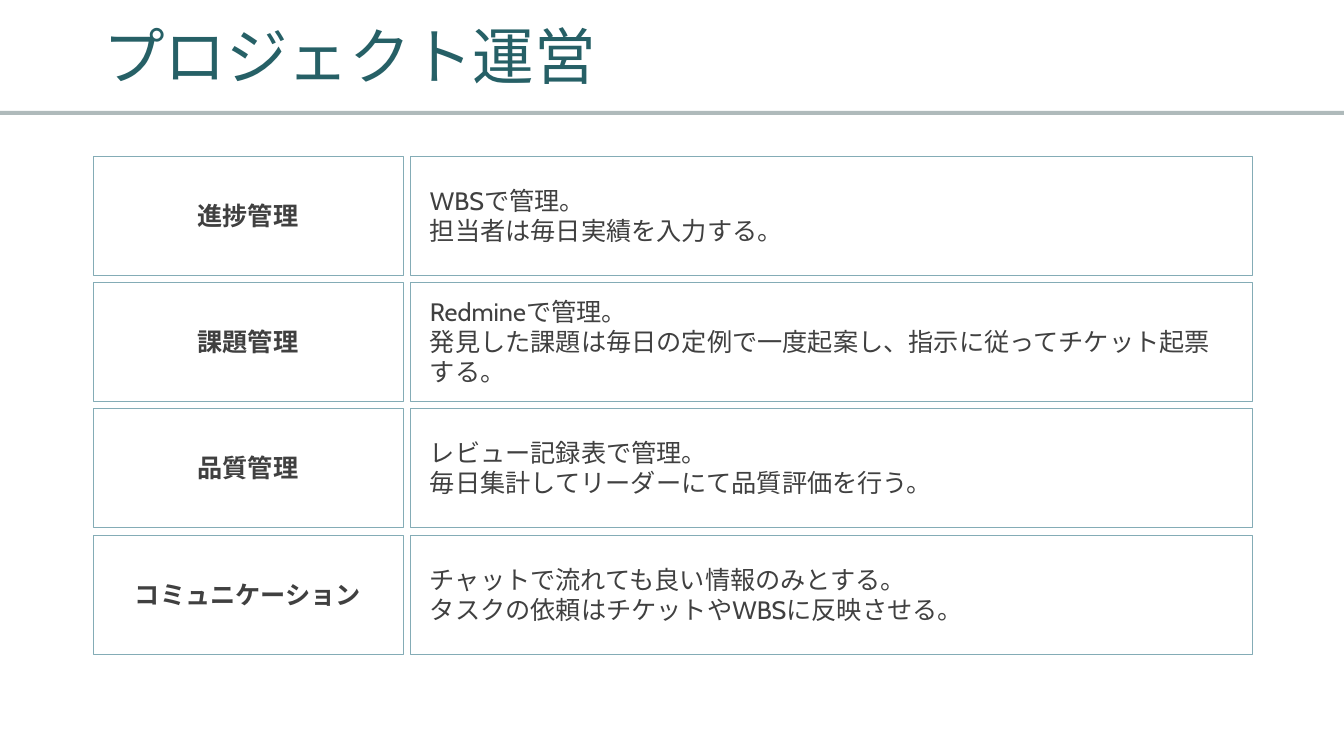
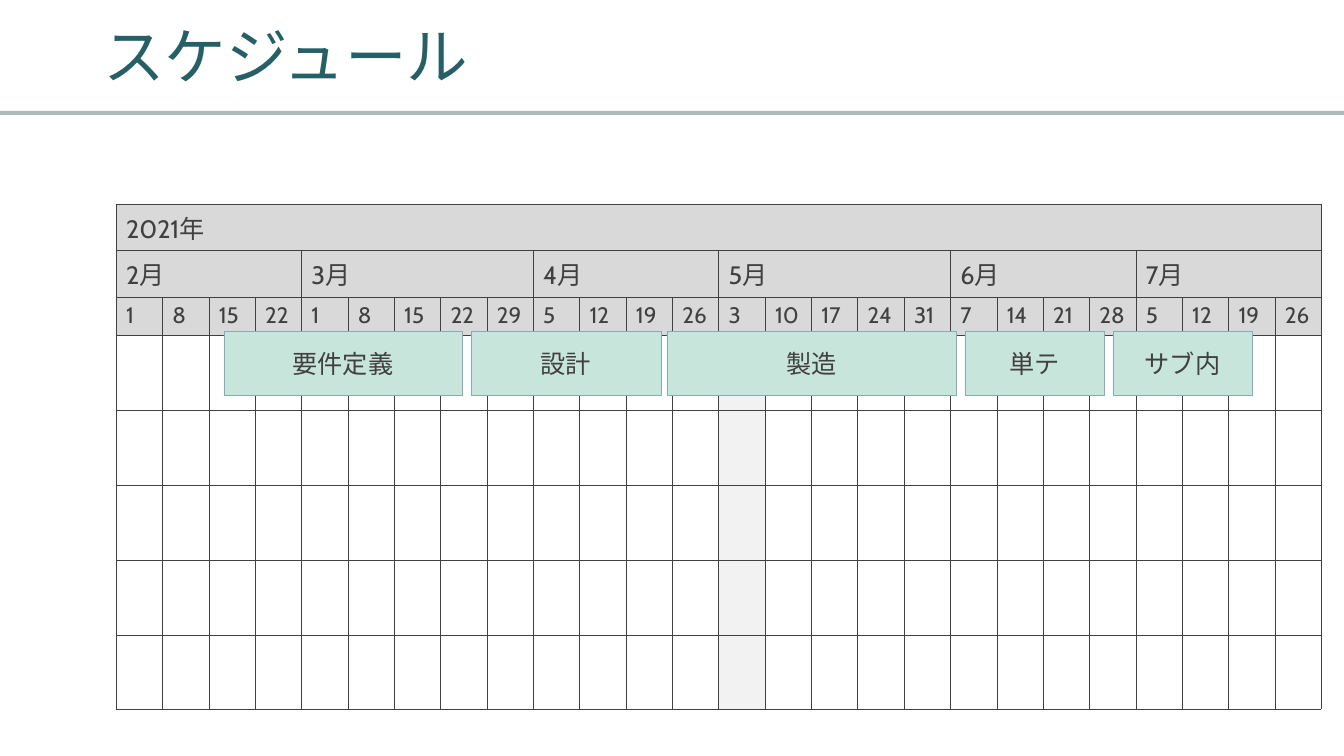
from lxml.etree import SubElement
from pptx import Presentation
from pptx.dml.color import RGBColor
from pptx.enum.lang import MSO_LANGUAGE_ID
from pptx.enum.shapes import MSO_SHAPE
from pptx.enum.text import MSO_ANCHOR, MSO_AUTO_SIZE, PP_ALIGN
from pptx.oxml import parse_xml
from pptx.oxml.ns import nsdecls, qn
from pptx.util import Pt

SLIDE_W, SLIDE_H = 1344, 756
EMU_PER_PX = 12192000 / SLIDE_W
FONT = "Cabin"
HAIRLINE = Pt(0.25)
COLORS = {
    "title": "266066",
    "band": "AFBABB",
    "text": "404040",
    "outline": "84ACB6",
    "white": "FFFFFF",
    "phase": "C8E5DC",
    "header": "D9D9D9",
    "holiday": "F2F2F2",
}

RULES = [
    ("進捗管理", "WBSで管理。\n担当者は毎日実績を入力する。"),
    ("課題管理", "Redmineで管理。\n発見した課題は毎日の定例で一度起案し、"
                 "指示に従ってチケット起票する。"),
    ("品質管理", "レビュー記録表で管理。\n毎日集計してリーダーにて品質評価を行う。"),
    ("コミュニケーション", "チャットで流れても良い情報のみとする。\n"
                           "タスクの依頼はチケットやWBSに反映させる。"),
]
MONTHS = [
    ("2月", [1, 8, 15, 22]),
    ("3月", [1, 8, 15, 22, 29]),
    ("4月", [5, 12, 19, 26]),
    ("5月", [3, 10, 17, 24, 31]),
    ("6月", [7, 14, 21, 28]),
    ("7月", [5, 12, 19, 26]),
]
WEEKS = [day for _, days in MONTHS for day in days]
HOLIDAY_WEEK = 13
ROW_HEIGHTS = [46, 46, 38, 75, 75, 75, 75, 74]
HEADER_ROWS = 3
# Phase name, left edge, width
PHASES = [
    ("要件定義", 224, 238),
    ("設計", 471, 190),
    ("製造", 667, 289),
    ("単テ", 965, 139),
    ("サブ内", 1113, 139),
]


def px(length):
    return round(length * EMU_PER_PX)


def color(name):
    return RGBColor.from_string(COLORS[name])


def format_text(frame, size, color_name="text", bold=False, align=PP_ALIGN.LEFT,
                east_asian=True):
    for paragraph in frame.paragraphs:
        paragraph.alignment = align
        for run in paragraph.runs:
            font = run.font
            font.size = Pt(size)
            font.bold = bold
            font.name = FONT
            font.language_id = MSO_LANGUAGE_ID.JAPANESE
            font.color.rgb = color(color_name)
            if east_asian:
                latin = run._r.rPr.find(qn("a:latin"))
                latin.addnext(parse_xml(f'<a:ea {nsdecls("a")} typeface="{FONT}"/>'))


def add_rect(slide, left, top, width, height, fill):
    rect = slide.shapes.add_shape(
        MSO_SHAPE.RECTANGLE, px(left), px(top), px(width), px(height))
    rect.shadow.inherit = False
    rect.fill.solid()
    rect.fill.fore_color.rgb = color(fill)
    rect.line.fill.background()
    return rect


def add_box(slide, text, left, top, width, height, fill="white", inset=24,
            bold=False, align=PP_ALIGN.CENTER):
    box = add_rect(slide, left, top, width, height, fill)
    box.line.color.rgb = color("outline")
    box.line.width = HAIRLINE
    frame = box.text_frame
    frame.word_wrap = True
    frame.vertical_anchor = MSO_ANCHOR.MIDDLE
    frame.margin_left = frame.margin_right = px(inset)
    frame.margin_top = frame.margin_bottom = px(8)
    frame.text = text
    format_text(frame, 18, bold=bold, align=align)


def add_titled_slide(prs, text):
    slide = prs.slides.add_slide(prs.slide_layouts[5])
    add_rect(slide, 0, 111, SLIDE_W, 4, "band")
    title = slide.shapes.title
    title.left, title.top, title.width, title.height = (
        px(93), px(12), px(1159), px(95))
    frame = title.text_frame
    frame.auto_size = MSO_AUTO_SIZE.NONE
    frame.vertical_anchor = MSO_ANCHOR.MIDDLE
    frame.text = text
    frame.paragraphs[0].line_spacing = 0.9
    format_text(frame, 44, "title")
    return slide


def style_cell(cell, fill):
    # Borders come before the fill in the cell properties
    properties = cell._tc.get_or_add_tcPr()
    for side in ("lnL", "lnR", "lnT", "lnB"):
        border = SubElement(properties, qn(f"a:{side}"), w=str(HAIRLINE))
        paint = SubElement(border, qn("a:solidFill"))
        SubElement(paint, qn("a:srgbClr"), val=COLORS["text"])
    cell.fill.solid()
    cell.fill.fore_color.rgb = color(fill)


def set_cell_text(cell, text, size):
    cell.text_frame.text = text
    format_text(cell.text_frame, size, east_asian=False)


def cell_fill(row, week):
    if row < HEADER_ROWS:
        return "header"
    return "holiday" if week == HOLIDAY_WEEK else "white"


def add_calendar(slide):
    calendar = slide.shapes.add_table(
        len(ROW_HEIGHTS), len(WEEKS), px(116), px(204), px(1206),
        px(sum(ROW_HEIGHTS))).table
    calendar.first_row = calendar.horz_banding = False
    for row, height in enumerate(ROW_HEIGHTS):
        calendar.rows[row].height = px(height)
        for week in range(len(WEEKS)):
            style_cell(calendar.cell(row, week), cell_fill(row, week))

    # Year, month and week headings
    year = calendar.cell(0, 0)
    year.merge(calendar.cell(0, len(WEEKS) - 1))
    set_cell_text(year, "2021年", 18)
    first = 0
    for name, days in MONTHS:
        month = calendar.cell(1, first)
        month.merge(calendar.cell(1, first + len(days) - 1))
        set_cell_text(month, name, 18)
        first += len(days)
    for week, day in enumerate(WEEKS):
        set_cell_text(calendar.cell(2, week), str(day), 16)


def build_management(prs):
    slide = add_titled_slide(prs, "プロジェクト運営")
    for index, (label, rule) in enumerate(RULES):
        top = 156 + 379 * index // 3
        add_box(slide, label, 93, top, 310, 119, bold=True)
        add_box(slide, rule, 410, top, 842, 119, inset=20, align=PP_ALIGN.LEFT)


def build_schedule(prs):
    slide = add_titled_slide(prs, "スケジュール")
    add_calendar(slide)
    for name, left, width in PHASES:
        add_box(slide, name, left, 331, width, 64, fill="phase")


def main():
    prs = Presentation()
    prs.slide_width, prs.slide_height = px(SLIDE_W), px(SLIDE_H)
    build_management(prs)
    build_schedule(prs)
    prs.save("out.pptx")


if __name__ == "__main__":
    main()
